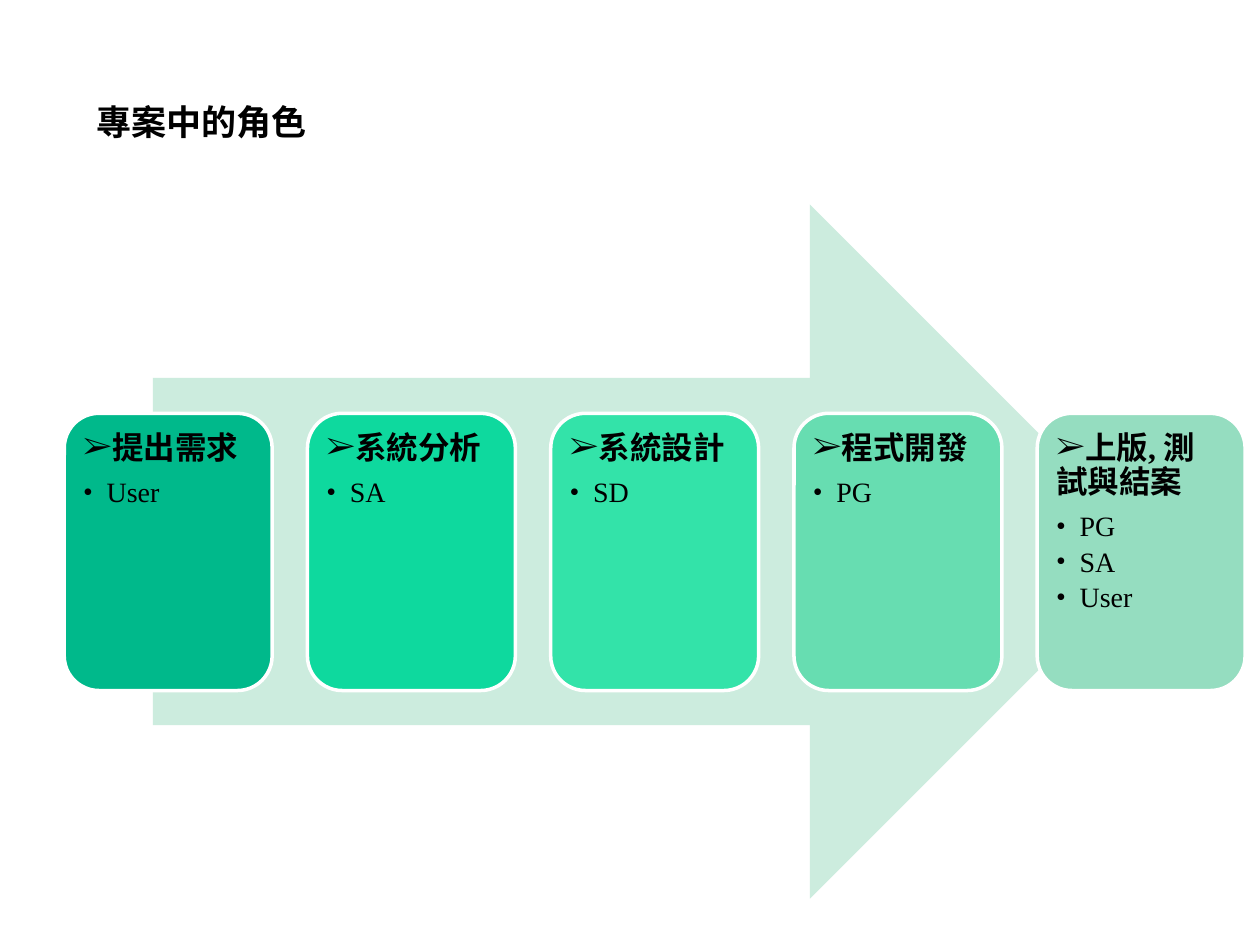
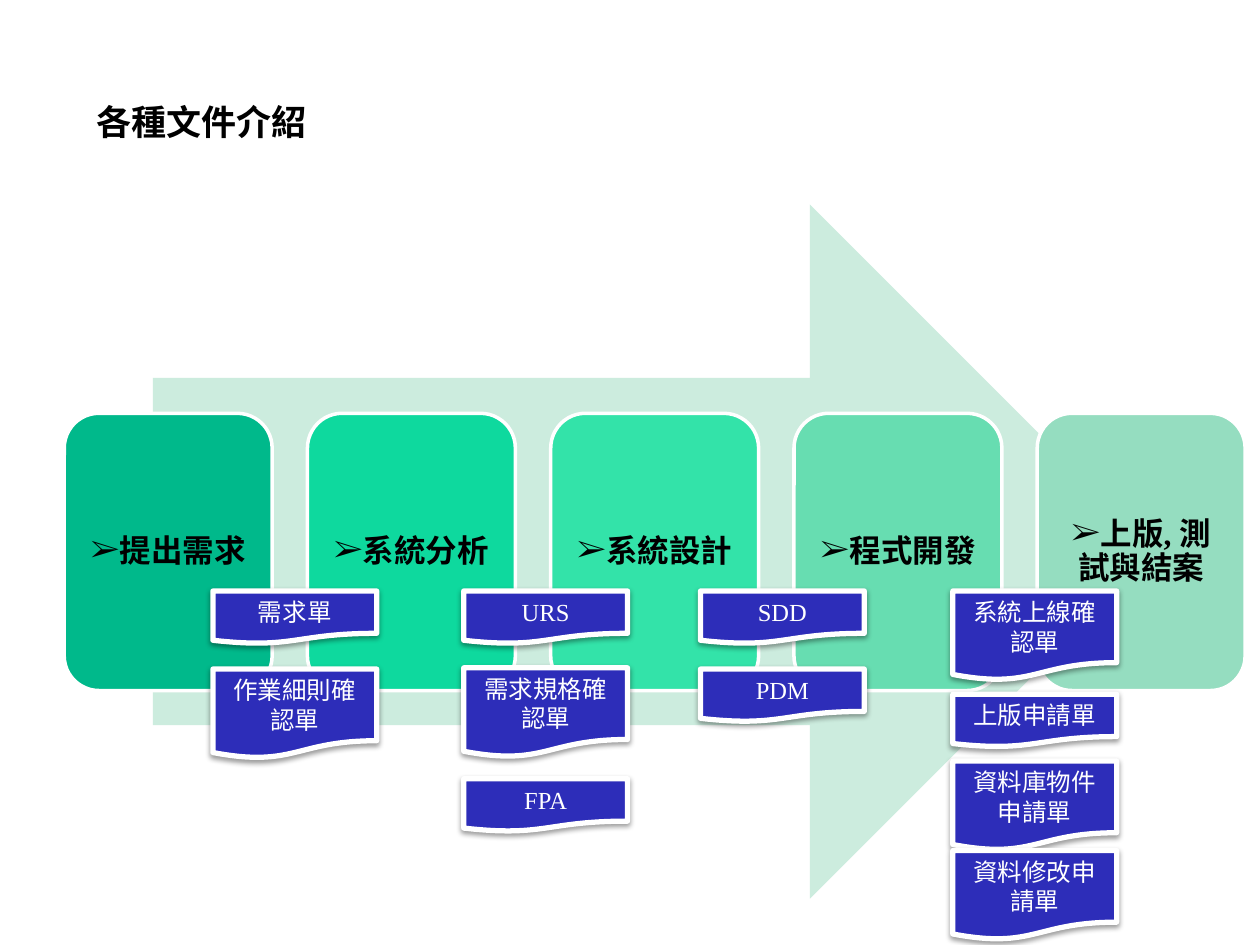
from lxml.etree import SubElement
from pptx import Presentation
from pptx.dml.color import RGBColor
from pptx.enum.shapes import MSO_SHAPE
from pptx.enum.text import MSO_ANCHOR, MSO_AUTO_SIZE, PP_ALIGN
from pptx.oxml.ns import qn
from pptx.util import Pt

FONT = "Times New Roman"
BLACK, WHITE = "000000", "FFFFFF"
ARROW_GREEN, DOCUMENT_BLUE = "CCECDE", "2D2DB9"

# Stage name, card colour, roles that take part
STAGES = [
    ("提出需求", "00B98B", ["User"]),
    ("系統分析", "0ED99E", ["SA"]),
    ("系統設計", "33E3A9", ["SD"]),
    ("程式開發", "67DDB1", ["PG"]),
    ("上版, 測試與結案", "95DDC0", ["PG", "SA", "User"]),
]
CARD_LEFT, CARD_TOP, CARD_PITCH = 36.7, 236.2, 139
CARD_WIDTH, CARD_HEIGHT = 118.8, 158.4

# Left edge of each column, then the top edge and name of its documents
DOCUMENT_COLUMNS = [
    (121.7, [(337.7, "需求單"), (382.3, "作業細則確認單")]),
    (265, [(337.7, "URS"), (381.6, "需求規格確認單"), (445, "FPA")]),
    (400.3, [(337.7, "SDD"), (382.3, "PDM")]),
    (544.5, [(337.7, "系統上線確認單"), (396.7, "上版申請單"),
             (434.9, "資料庫物件申請單"), (486, "資料修改申請單")]),
]
DOCUMENT_WIDTH, ONE_LINE, TWO_LINES = 93.6, 30.2, 51.1
LONGEST_ONE_LINE_NAME = 5


def color(hex_code):
    return RGBColor.from_string(hex_code)


class Deck:
    """Holds the shared style and the slide being filled."""

    def __init__(self):
        self.presentation = Presentation()
        self.presentation.slide_width = Pt(720)
        self.presentation.slide_height = Pt(540)
        self.slide = None

    def new_slide(self, title):
        blank = self.presentation.slide_layouts[6]
        self.slide = self.presentation.slides.add_slide(blank)
        heading = self.slide.shapes.add_textbox(Pt(48.2), Pt(12.2), Pt(617.8), Pt(90))
        frame = heading.text_frame
        frame.word_wrap = True
        frame.vertical_anchor = MSO_ANCHOR.MIDDLE
        frame.margin_top = Pt(27.6)
        self.run(frame.paragraphs[0], title, 20, bold=True)

    def run(self, paragraph, text, size, text_color=BLACK, bold=False):
        run = paragraph.add_run()
        run.text = text
        run.font.name = FONT
        run.font.size = Pt(size)
        run.font.bold = bold
        run.font.color.rgb = color(text_color)

    def shape(self, kind, left, top, width, height, fill, line_width=0):
        shape = self.slide.shapes.add_shape(kind, Pt(left), Pt(top), Pt(width), Pt(height))
        shape.shadow.inherit = False
        shape.fill.solid()
        shape.fill.fore_color.rgb = color(fill)
        if line_width:
            shape.line.color.rgb = color(WHITE)
            shape.line.width = Pt(line_width)
        else:
            shape.line.fill.background()
        return shape

    def bullet(self, paragraph, mark, space_after, hang=0):
        """Give a paragraph a bullet mark, tight lines and a hanging indent."""
        paragraph.line_spacing = 0.9
        paragraph.space_after = Pt(space_after)
        properties = paragraph._p.get_or_add_pPr()
        properties.set("marL", str(Pt(hang)))
        properties.set("indent", str(-Pt(hang)))
        SubElement(properties, qn("a:buFont"), typeface=FONT)
        SubElement(properties, qn("a:buChar"), char=mark)

    def stage_card(self, left, stage, fill, roles):
        """Draw a stage; its name is centred when no roles are listed."""
        card = self.shape(MSO_SHAPE.ROUNDED_RECTANGLE, left, CARD_TOP,
                          CARD_WIDTH, CARD_HEIGHT, fill, 2)
        frame = card.text_frame
        frame.word_wrap = True
        frame.margin_left = frame.margin_right = Pt(5)
        frame.margin_top = frame.margin_bottom = Pt(5)
        frame.vertical_anchor = MSO_ANCHOR.TOP if roles else MSO_ANCHOR.MIDDLE
        name = frame.paragraphs[0]
        name.alignment = PP_ALIGN.LEFT if roles else PP_ALIGN.CENTER
        self.bullet(name, "➢", 7)
        self.run(name, stage, 18, bold=True)
        for role in roles:
            line = frame.add_paragraph()
            line.level = 1
            line.alignment = PP_ALIGN.LEFT
            self.bullet(line, "•", 3, hang=13.5)
            self.run(line, role, 16)

    def process(self, with_roles):
        self.shape(MSO_SHAPE.RIGHT_ARROW, 87.4, 116.8, 573.8, 396.8, ARROW_GREEN)
        for index, (stage, fill, roles) in enumerate(STAGES):
            self.stage_card(CARD_LEFT + index * CARD_PITCH, stage, fill,
                            roles if with_roles else [])

    def document(self, left, top, name):
        height = ONE_LINE if len(name) <= LONGEST_ONE_LINE_NAME else TWO_LINES
        sheet = self.shape(MSO_SHAPE.FLOWCHART_DOCUMENT, left, top,
                           DOCUMENT_WIDTH, height, DOCUMENT_BLUE, 3)
        self.drop_shadow(sheet)
        frame = sheet.text_frame
        frame.word_wrap = True
        frame.auto_size = MSO_AUTO_SIZE.SHAPE_TO_FIT_TEXT
        frame.vertical_anchor = MSO_ANCHOR.TOP
        label = frame.paragraphs[0]
        label.alignment = PP_ALIGN.CENTER
        self.run(label, name, 14, WHITE)

    def drop_shadow(self, shape):
        effects = shape._element.spPr.find(qn("a:effectLst"))
        shadow = SubElement(effects, qn("a:outerShdw"), blurRad=str(Pt(3.1)),
                            dist=str(Pt(1.6)), dir="5400000", rotWithShape="0")
        tint = SubElement(shadow, qn("a:srgbClr"), val=BLACK)
        SubElement(tint, qn("a:alpha"), val="38000")


def main():
    deck = Deck()

    deck.new_slide("專案中的角色")
    deck.process(with_roles=True)

    deck.new_slide("各種文件介紹")
    deck.process(with_roles=False)
    for left, documents in DOCUMENT_COLUMNS:
        for top, name in documents:
            deck.document(left, top, name)

    deck.presentation.save("out.pptx")


if __name__ == "__main__":
    main()
